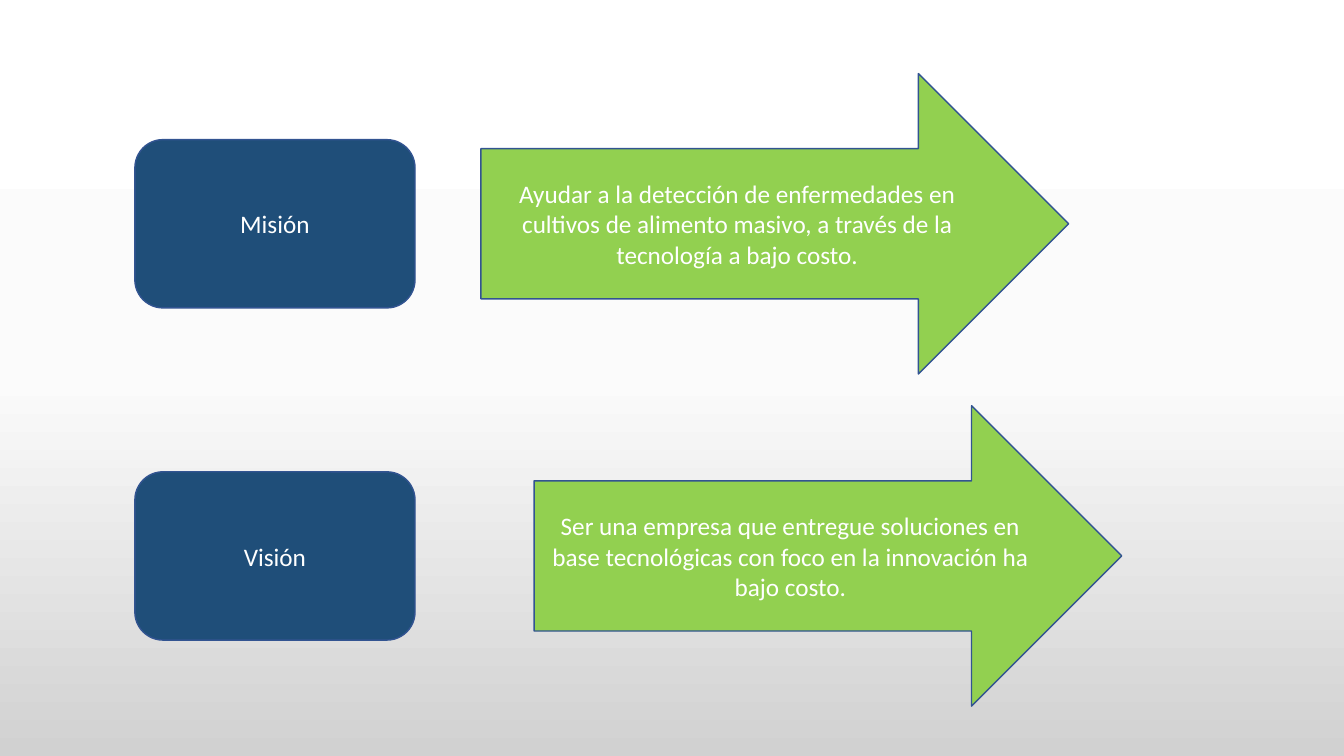
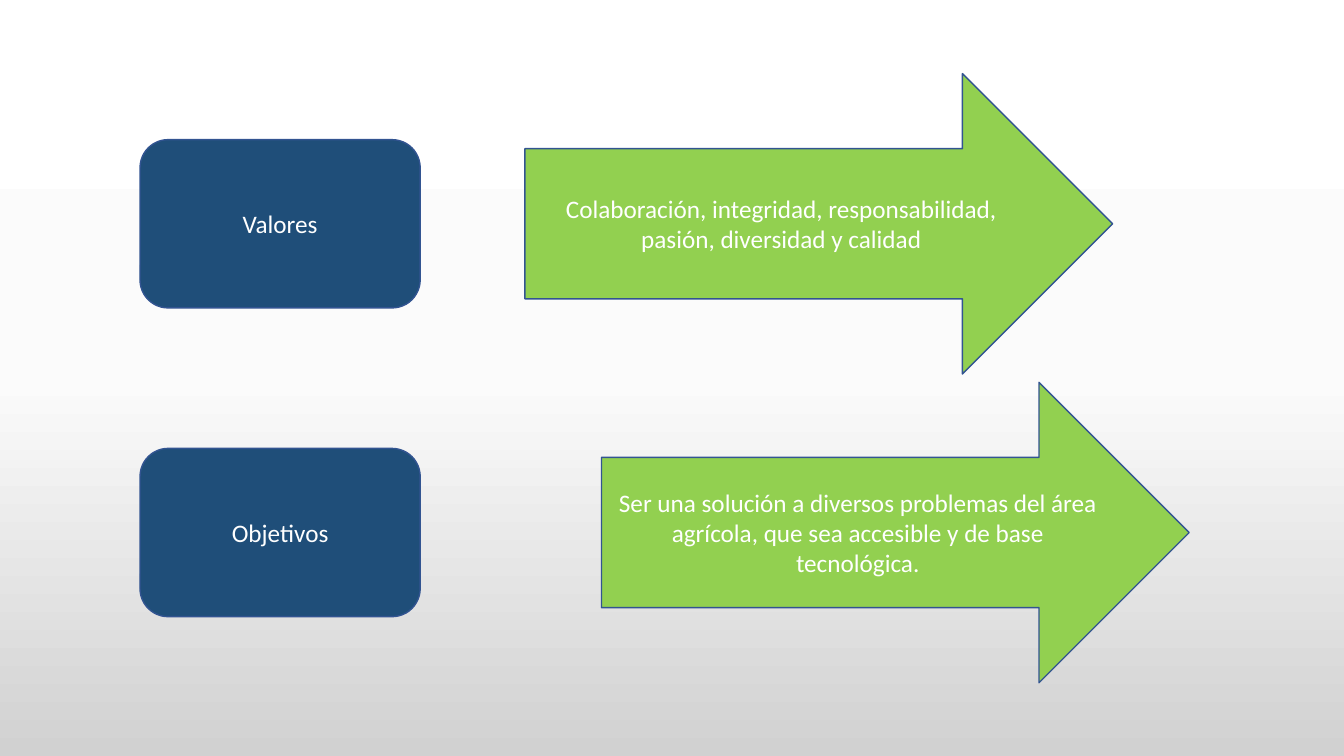
"""Build two slides that pair each company principle with an arrow explaining it."""
from copy import deepcopy
from dataclasses import dataclass

from pptx import Presentation
from pptx import util as u
from pptx.dml.color import RGBColor
from pptx.enum import shapes, text
from pptx.oxml.ns import qn


@dataclass(frozen=True)
class Theme:
    box: str = "1F4E79"
    arrow: str = "92D050"
    outline: str = "325491"
    ink: str = "FFFFFF"
    font: str = "Calibri"
    size: int = 18
    backdrop: tuple = ((0, "FFFFFF"), (0.5, "FBFBFB"), (1, "D1D1D1"))


theme = Theme()
BOX_SIZE = (7.06, 4.24)
ARROW_SIZE = (14.81, 7.57)


def add_labelled_shape(slide, wording, *, kind, left, middle, size, fill):
    width, height = size
    shape = slide.shapes.add_shape(
        kind, u.Cm(left), u.Cm(middle - height / 2), u.Cm(width), u.Cm(height))
    shape.shadow.inherit = False
    shape.fill.solid()
    shape.fill.fore_color.rgb = RGBColor.from_string(fill)
    shape.line.color.rgb = RGBColor.from_string(theme.outline)
    shape.line.width = u.Pt(1)
    frame = shape.text_frame
    frame.word_wrap = True
    frame.vertical_anchor = text.MSO_ANCHOR.MIDDLE
    paragraph = frame.paragraphs[0]
    paragraph.alignment = text.PP_ALIGN.CENTER
    run = paragraph.add_run()
    run.text = wording
    run.font.name = theme.font
    run.font.size = u.Pt(theme.size)
    run.font.color.rgb = RGBColor.from_string(theme.ink)


presentation = Presentation()
presentation.slide_width = u.Cm(33.87)
presentation.slide_height = u.Cm(19.05)

master = presentation.slide_master
backdrop = master.background.fill
backdrop.gradient()
backdrop.gradient_angle = 270
first_stop = next(master.element.iter(qn("a:gs")))
first_stop.addnext(deepcopy(first_stop))
for stop, (position, color) in zip(backdrop.gradient_stops, theme.backdrop):
    stop.position = position
    stop.color.rgb = RGBColor.from_string(color)

slides = [
    (3.4, [
        ("Misión", 5.64, 12.12,
         "Ayudar a la detección de enfermedades en cultivos de alimento masivo, "
         "a través de la tecnología a bajo costo."),
        ("Visión", 14.01, 13.46,
         "Ser una empresa que entregue soluciones en base tecnológicas con foco "
         "en la innovación ha bajo costo."),
    ]),
    (3.53, [
        ("Valores", 5.64, 13.23,
         "Colaboración, integridad, responsabilidad, pasión, diversidad y calidad"),
        ("Objetivos", 13.42, 15.16,
         "Ser una solución a diversos problemas del área agrícola, que sea "
         "accesible y de base tecnológica."),
    ]),
]

for box_left, rows in slides:
    slide = presentation.slides.add_slide(presentation.slide_layouts[6])
    for label, middle, arrow_left, explanation in rows:
        add_labelled_shape(
            slide, label, kind=shapes.MSO_SHAPE.ROUNDED_RECTANGLE,
            left=box_left, middle=middle, size=BOX_SIZE, fill=theme.box)
        add_labelled_shape(
            slide, explanation, kind=shapes.MSO_SHAPE.RIGHT_ARROW,
            left=arrow_left, middle=middle, size=ARROW_SIZE, fill=theme.arrow)

presentation.save("out.pptx")
